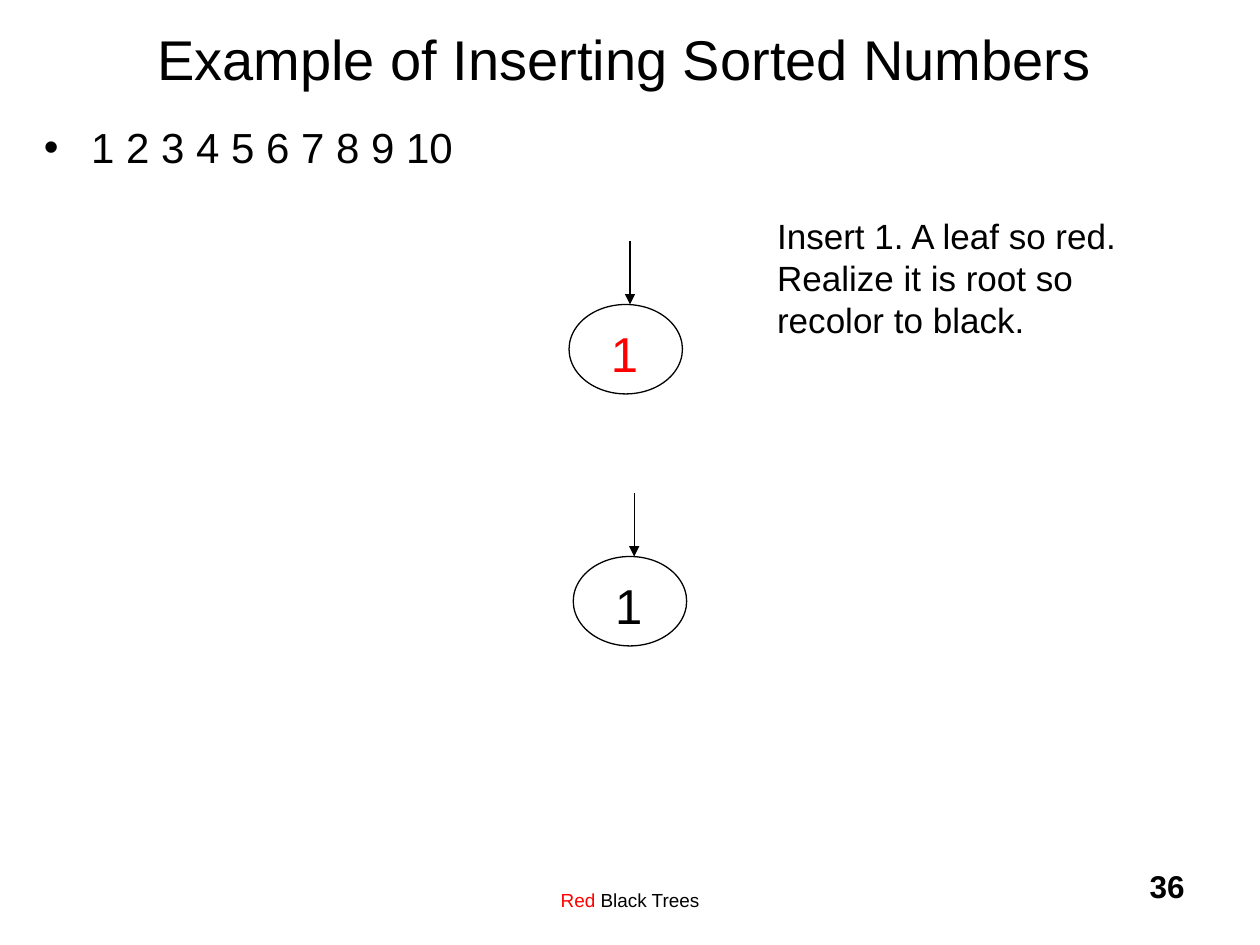
from dataclasses import dataclass

from lxml import etree
from pptx import Presentation
from pptx.dml.color import RGBColor
from pptx.enum.shapes import MSO_CONNECTOR, MSO_SHAPE
from pptx.enum.text import MSO_ANCHOR, MSO_AUTO_SIZE, PP_ALIGN
from pptx.oxml.ns import qn
from pptx.util import Pt

LEFT, CENTER, RIGHT = PP_ALIGN.LEFT, PP_ALIGN.CENTER, PP_ALIGN.RIGHT
TOP, MIDDLE = MSO_ANCHOR.TOP, MSO_ANCHOR.MIDDLE
NO_FIT = MSO_AUTO_SIZE.NONE
OVAL, STRAIGHT = MSO_SHAPE.OVAL, MSO_CONNECTOR.STRAIGHT

COLORS = {"black": "000000", "red": "FF0000"}
FONT = "Arial"
LINE_WIDTH = 0.75
NODE_W, NODE_H, ARROW_LENGTH = 64.8, 51.1, 36


@dataclass
class Label:
    runs: list[tuple[str, str]]
    box: tuple[float, float, float, float]
    size: float
    align: PP_ALIGN = LEFT
    bold: bool = False
    wrap: bool = True
    top_inset: float = 3.6
    bullet: bool = False


@dataclass
class Node:
    key: str
    color: str
    left: float
    top: float
    arrow_x: float


TITLE = Label([("Example of Inserting Sorted Numbers", "black")],
              (12, -12, 690, 90), 32, CENTER)
LABELS = [
    Label([("Red", "red"), (" Black Trees", "black")],
          (222, 492, 276, 36), 10.8, CENTER, top_inset=16),
    Label([("36", "black")], (534, 492, 150, 36), 18, RIGHT, bold=True),
    Label([("1 2 3 4 5 6 7 8 9 10", "black")],
          (18, 66, 684, 432), 24, bullet=True),
    Label([("Insert 1. A leaf so red. Realize it is root so recolor to black.",
            "black")], (437, 119, 235.5, 79), 20),
]
NODES = [
    Node("1", "red", 325.2, 174, 360),
    Node("1", "black", 327.6, 318, 362.4),
]


def rgb(name: str) -> RGBColor:
    return RGBColor.from_string(COLORS[name])


def place(sp, box: tuple) -> None:
    for name, value in zip(("left", "top", "width", "height"), box):
        setattr(sp, name, Pt(value))


def add_bullet(p, indent: float) -> None:
    pPr = p._p.get_or_add_pPr()
    pPr.set("marL", str(Pt(indent)))
    pPr.set("indent", str(-Pt(indent)))
    etree.SubElement(pPr, qn("a:buFont")).set("typeface", FONT)
    etree.SubElement(pPr, qn("a:buChar")).set("char", "•")


def write(sp, label: Label, anchor: MSO_ANCHOR = TOP) -> None:
    tf = sp.text_frame
    frame_format = {
        "auto_size": NO_FIT, "word_wrap": label.wrap, "vertical_anchor": anchor,
        "margin_left": Pt(7.2), "margin_right": Pt(7.2),
        "margin_top": Pt(label.top_inset), "margin_bottom": Pt(3.6),
    }
    for name, value in frame_format.items():
        setattr(tf, name, value)
    p = tf.paragraphs[0]
    p.alignment = label.align
    if label.bullet:
        add_bullet(p, 27)
    for text, color in label.runs:
        r = p.add_run()
        r.text = text
        font_format = {"name": FONT, "size": Pt(label.size), "bold": label.bold}
        for name, value in font_format.items():
            setattr(r.font, name, value)
        r.font.color.rgb = rgb(color)


def add_label(shapes, label: Label) -> None:
    write(shapes.add_textbox(*map(Pt, label.box)), label)


def outline(sp) -> None:
    sp.line.color.rgb = rgb("black")
    sp.line.width = Pt(LINE_WIDTH)


def add_arrow(shapes, x: float, tip_y: float) -> None:
    sp = shapes.add_connector(STRAIGHT, Pt(x), Pt(tip_y - ARROW_LENGTH),
                              Pt(x), Pt(tip_y))
    outline(sp)
    etree.SubElement(sp.line._get_or_add_ln(), qn("a:tailEnd")).set("type", "triangle")
    etree.SubElement(sp._element.spPr, qn("a:effectLst"))


def add_node(shapes, node: Node) -> None:
    """Draw a tree node and the arrow that points to it."""
    group = shapes.add_group_shape()
    sp = group.shapes.add_shape(OVAL, Pt(node.left), Pt(node.top),
                                Pt(NODE_W), Pt(NODE_H))
    sp.shadow.inherit = False
    sp.fill.background()
    outline(sp)
    box = (node.left + 16.8, node.top + 6, 29.5, 41)
    add_label(group.shapes, Label([(node.key, node.color)], box, 28,
                                  wrap=False, top_inset=5))
    add_arrow(shapes, node.arrow_x, node.top)


def main() -> None:
    prs = Presentation()
    prs.slide_width, prs.slide_height = Pt(720), Pt(540)
    s = prs.slides.add_slide(prs.slide_layouts[5])
    place(s.shapes.title, TITLE.box)
    write(s.shapes.title, TITLE, MIDDLE)
    for label in LABELS:
        add_label(s.shapes, label)
    for node in NODES:
        add_node(s.shapes, node)
    prs.save("out.pptx")


if __name__ == "__main__":
    main()
